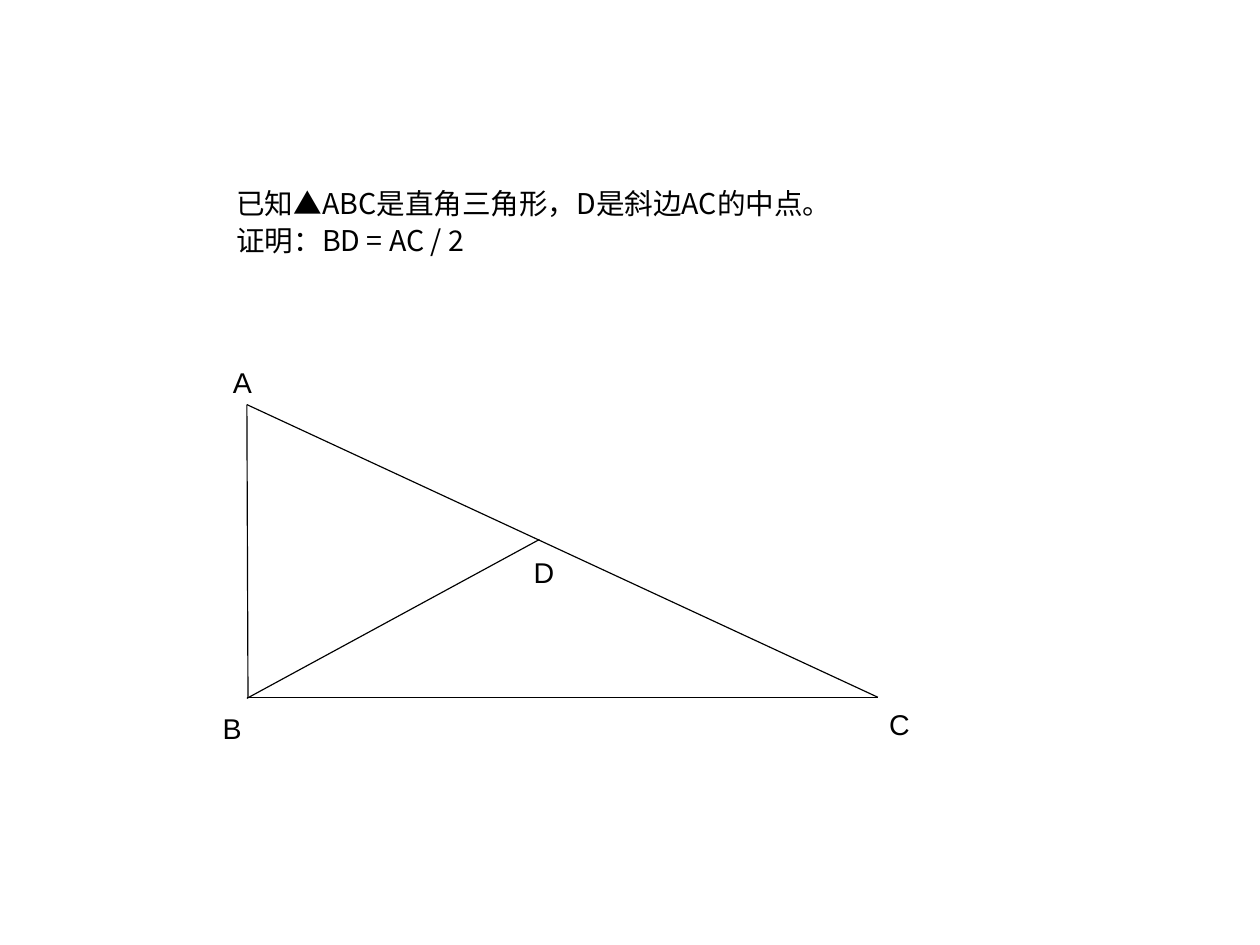
from lxml.etree import SubElement
from pptx import Presentation
from pptx.dml.color import RGBColor
from pptx.enum.shapes import MSO_CONNECTOR
from pptx.enum.text import MSO_AUTO_SIZE, PP_ALIGN
from pptx.oxml.ns import qn
from pptx.util import Inches, Pt

CM_PER_INCH = 2.54


def color(value):
    return RGBColor.from_string(value)


class Figure:
    """Style and current slide of a geometry figure."""
    ink = "000000"
    size = 18
    line_width = 0.75

    def __init__(self, slide):
        self.s = slide

    def segment(self, start, end):
        sp = self.s.shapes.add_connector(
            MSO_CONNECTOR.STRAIGHT, *(Inches(v) for v in start + end))
        sp.line.color.rgb = color(self.ink)
        sp.line.width = Pt(self.line_width)
        SubElement(sp._element.spPr, qn("a:effectLst"))

    def text(self, box, lines, font, spacing, top_inset):
        sp = self.s.shapes.add_textbox(*(Inches(v) for v in box))
        tf = sp.text_frame
        frame = {"word_wrap": False, "auto_size": MSO_AUTO_SIZE.SHAPE_TO_FIT_TEXT,
                 "margin_left": Inches(0.1), "margin_right": Inches(0.1),
                 "margin_top": Inches(top_inset), "margin_bottom": Inches(0.05)}
        for name, value in frame.items():
            setattr(tf, name, value)
        for i, line in enumerate(lines):
            p = tf.add_paragraph() if i else tf.paragraphs[0]
            p.alignment = PP_ALIGN.LEFT
            p.line_spacing = spacing
            r = p.add_run()
            r.text = line
            for name, value in {"name": font, "size": Pt(self.size)}.items():
                setattr(r.font, name, value)
            r.font.color.rgb = color(self.ink)
            SubElement(r._r.get_or_add_rPr(), qn("a:ea"), typeface=font)

    def statement(self, box, lines):
        self.text(box, lines, "Noto Sans CJK SC", 1.09, 0.05)

    def vertex(self, name, left, top, width):
        self.text((left, top, width, 0.38), [name], "Arial", 0.93, 0.07)


def main():
    prs = Presentation()
    # Page of 28 by 21 cm
    prs.slide_width, prs.slide_height = (Inches(cm / CM_PER_INCH) for cm in (28, 21))
    fig = Figure(prs.slides.add_slide(prs.slide_layouts[6]))

    # Right triangle and the median to its hypotenuse
    a, c, d = (2.16, 3.54), (7.68, 6.1), (4.72, 4.72)
    for start, end in ((c, (2.16, 6.1)), (a, (2.17, 6.1)), (a, c), ((2.16, 6.11), d)):
        fig.segment(start, end)

    # Problem statement
    fig.statement((1.97, 1.55, 5.24, 0.74),
                  ["已知▲ABC是直角三角形，D是斜边AC的中点。", "证明：BD = AC / 2"])

    # Vertex labels
    for label in (("A", 1.94, 3.15, 0.36), ("B", 1.85, 6.18, 0.36),
                  ("C", 7.68, 6.14, 0.38), ("D", 4.57, 4.81, 0.38)):
        fig.vertex(*label)

    prs.save("out.pptx")


if __name__ == "__main__":
    main()
